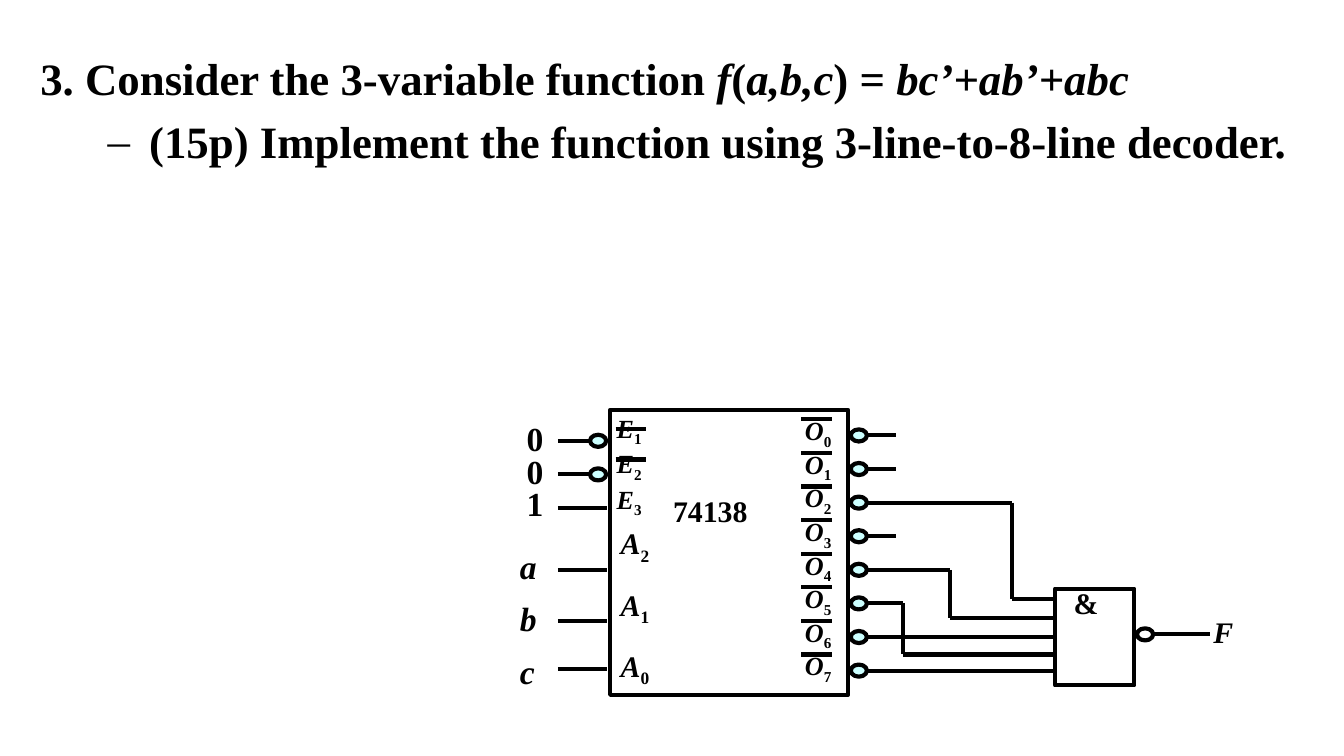
from lxml import etree
from pptx import Presentation
from pptx import util as u
from pptx.dml.color import RGBColor
from pptx.enum import shapes, text
from pptx.oxml.ns import qn

FONT, INK, BUBBLE = "Times New Roman", "000000", "CCFFFF"
CHIP = (4.54, 3.05, 1.77, 2.12)
GATE = (7.85, 4.38, 0.59, 0.72)
CHIP_RIGHT = CHIP[0] + CHIP[2]
PITCH = 0.25


def color(value):
    return RGBColor.from_string(value)


def inches(*values):
    return [u.Inches(v) for v in values]


def apply(obj, fmt):
    for name, value in fmt.items():
        setattr(obj, name, value)


def outline(sp):
    sp.line.color.rgb = color(INK)
    sp.line.width = u.Pt(2.25)


def add_run(p, words, size, italic=False, subscript=False):
    r = p.add_run()
    r.text = words
    apply(r.font, {"name": FONT, "size": u.Pt(size), "bold": True, "italic": italic})
    r.font.color.rgb = color(INK)
    if subscript:
        r.font._element.set("baseline", "-25000")


def add_labels(s, box, labels, size, italic=False, indexed=False, spacing=1.0):
    """Stack labels from the bottom up; indexed ones have a subscript tail."""
    tf = s.shapes.add_textbox(*inches(*box)).text_frame
    apply(tf, {"word_wrap": True, "margin_right": 0,
               "vertical_anchor": text.MSO_ANCHOR.BOTTOM})
    for i, label in enumerate(labels):
        p = tf.paragraphs[0] if i == 0 else tf.add_paragraph()
        p.line_spacing = spacing
        if indexed:
            add_run(p, label[0], size, italic=True)
            add_run(p, label[1:], size, subscript=True)
        else:
            add_run(p, label, size, italic)


def add_shape(s, kind, box, fill=None):
    sp = s.shapes.add_shape(kind, *inches(*box))
    sp.shadow.inherit = False
    outline(sp)
    if fill:
        sp.fill.solid()
        sp.fill.fore_color.rgb = color(fill)
    else:
        sp.fill.background()
    return sp


def add_bubble(s, x, y, fill=None):
    """Draw an inversion circle whose left end is x and whose centre is y."""
    add_shape(s, shapes.MSO_SHAPE.OVAL, (x, y - 0.045, 0.12, 0.09), fill)


def add_wire(s, *points):
    """Join the points with straight lines and return the last one."""
    for start, end in zip(points, points[1:]):
        line = s.shapes.add_connector(shapes.MSO_CONNECTOR.STRAIGHT,
                                      *inches(*start, *end))
        outline(line)
        etree.SubElement(line._element.spPr, qn("a:effectLst"))
    return line


def set_bullet(p, margin, indent, char=None):
    pPr = p._p.get_or_add_pPr()
    pPr.set("marL", str(u.Inches(margin)))
    pPr.set("indent", str(u.Inches(indent)))
    if char:
        etree.SubElement(pPr, qn("a:buFont"), typeface=FONT)
        etree.SubElement(pPr, qn("a:buChar"), char=char)
    else:
        etree.SubElement(pPr, qn("a:buNone"))


def add_question(s):
    title, body = s.placeholders
    title._element.getparent().remove(title._element)
    apply(body, dict(zip(("left", "top", "width", "height"),
                         inches(0.2, 0.33, 9.61, 0.92))))
    tf = body.text_frame
    tf.auto_size = text.MSO_AUTO_SIZE.NONE
    p = tf.paragraphs[0]
    p.space_before = u.Pt(0)
    set_bullet(p, 0.38, -0.38)
    parts = ("3. Consider the 3-variable function ", "f", "(", "a,b,c", ") = ",
             "bc’+ab’+abc")
    for i, part in enumerate(parts):
        add_run(p, part, 24, italic=i % 2 == 1)
    p = tf.add_paragraph()
    apply(p, {"level": 1, "space_before": u.Pt(5)})
    set_bullet(p, 0.81, -0.31, "–")
    add_run(p, "(15p) Implement the function using 3-line-to-8-line decoder.", 24)


def add_inputs(s):
    enables = [3.28 + PITCH * i for i in range(3)]
    for y in enables + [4.24, 4.62, 4.98]:
        add_wire(s, (4.15, y), (4.52, y))
    for i, y in enumerate(enables[:2]):
        add_bubble(s, 4.39, y, BUBBLE)
        bar = 3.19 + 0.23 * i
        add_wire(s, (4.58, bar), (4.81, bar))
    add_labels(s, (3.82, 3.11, 0.33, 0.83), "001", 18, spacing=0.8)
    add_labels(s, (3.77, 3.95, 0.47, 1.24), "abc", 18, italic=True, spacing=1.3)
    add_labels(s, (4.49, 3.1, 0.51, 0.81), ["E1", "E2", "E3"], 14, indexed=True)
    add_labels(s, (4.52, 3.91, 0.52, 1.26), ["A2", "A1", "A0"], 16,
               indexed=True, spacing=1.5)


def add_outputs(s, gate):
    bends = {2: (7.53, 4.46), 4: (7.07, 4.6), 5: (6.72, 4.87)}
    for i in range(8):
        y = 3.24 + PITCH * i
        start = (CHIP_RIGHT, y)
        if i in bends:
            x, gate_y = bends[i]
            add_wire(s, start, (x, y), (x, gate_y), (GATE[0], gate_y))
        elif i >= 6:
            line = add_wire(s, start, (GATE[0], y))
            if i == 6:
                line.end_connect(gate, 1)
        else:
            add_wire(s, start, (6.67, y))
        add_bubble(s, 6.33, y, BUBBLE)
        bar = 3.12 + PITCH * i
        add_wire(s, (5.96, bar), (6.19, bar))
    add_labels(s, (5.89, 3.05, 0.6, 2.1), [f"O{i}" for i in range(8)], 14,
               indexed=True, spacing=u.Pt(18))


def main():
    prs = Presentation()
    prs.slide_width = u.Inches(10)
    prs.slide_height = prs.slide_width * 9 // 16
    s = prs.slides.add_slide(prs.slide_layouts[1])
    add_question(s)
    add_shape(s, shapes.MSO_SHAPE.RECTANGLE, CHIP)
    gate = add_shape(s, shapes.MSO_SHAPE.RECTANGLE, GATE)
    add_inputs(s)
    add_outputs(s, gate)
    add_bubble(s, 8.46, 4.72)
    add_wire(s, (8.58, 4.72), (9, 4.72))
    add_labels(s, (4.91, 3.61, 0.76, 0.37), ["74138"], 16)
    add_labels(s, (7.89, 4.3, 0.39, 0.37), ["&"], 16)
    add_labels(s, (8.93, 4.51, 0.35, 0.37), ["F"], 16, italic=True)
    prs.save("out.pptx")


if __name__ == "__main__":
    main()
